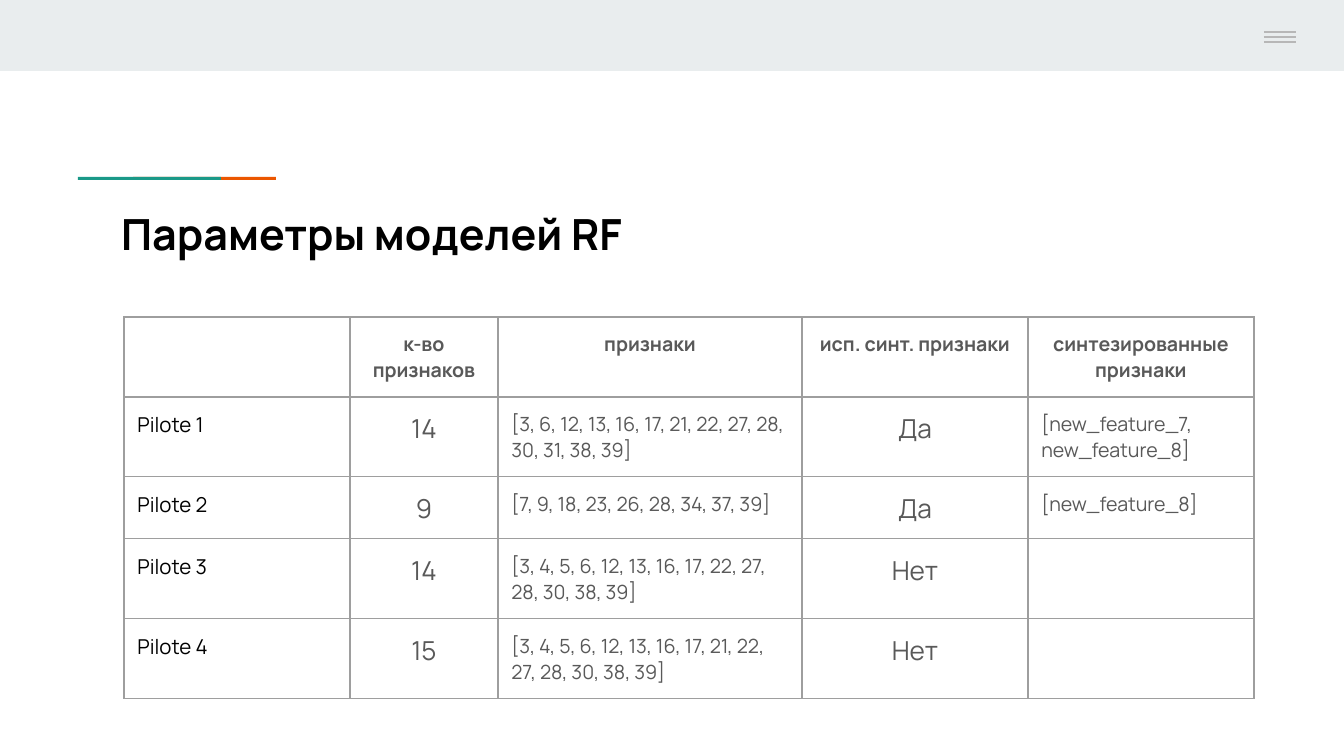
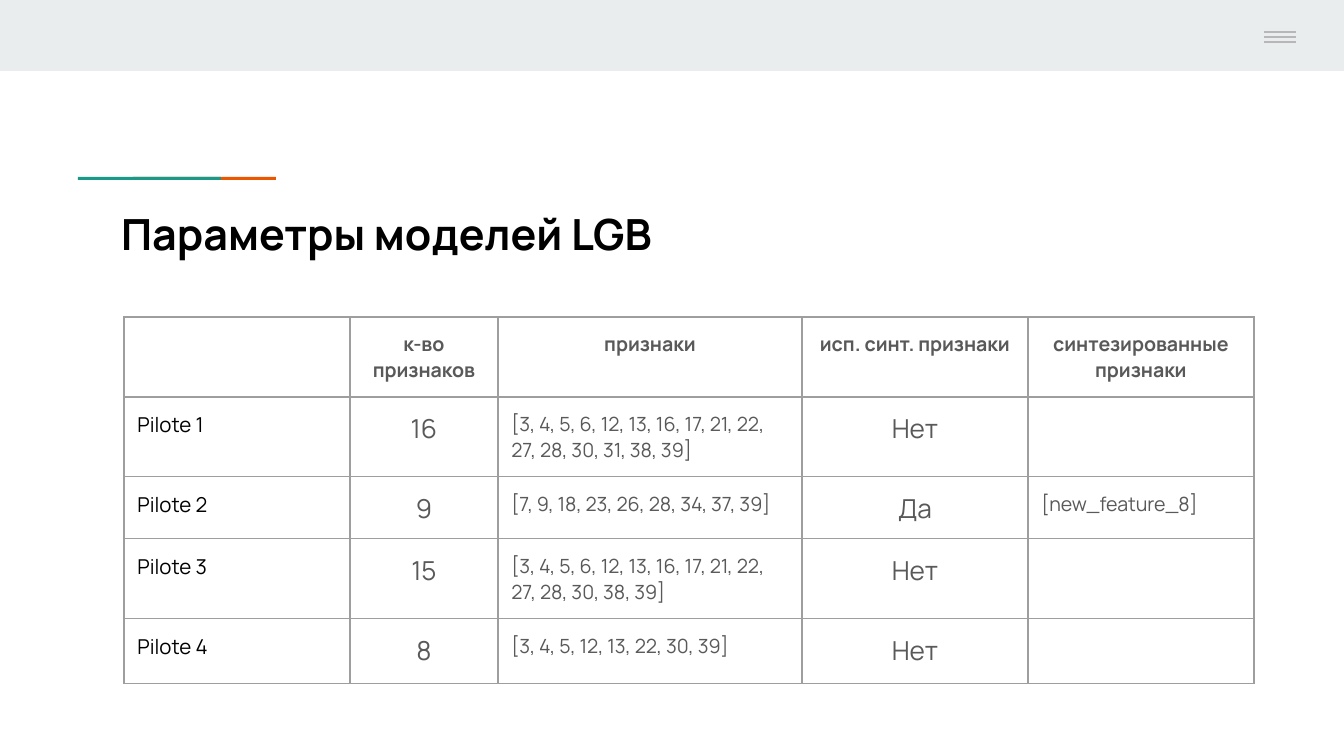
"""Build two slides that tabulate the parameters of the RF and LGB models."""
from lxml import etree
from pptx import Presentation
from pptx import util as u
from pptx.dml.color import RGBColor
from pptx.enum import shapes, text
from pptx.oxml.ns import qn

PX = 914400 / 134.4
FONT = "Manrope"
BLACK, GREY, RULE, BAND = "000000", "595959", "9E9E9E", "E9EDEE"
TEAL, ORANGE, MENU = "1A9988", "EB5600", "B7B7B7"
LEFT, CENTER = text.PP_ALIGN.LEFT, text.PP_ALIGN.CENTER

BARS = [(0, 0, 1344, 71, BAND), (133, 177, 143, 3, ORANGE), (78, 177, 143, 3, TEAL)]
COLS = [226, 148, 304, 226, 226]
HEADER = ["", "к-во признаков", "признаки", "исп. синт. признаки", "синтезированные признаки"]
STYLES = [(11, BLACK, LEFT), (14, GREY, CENTER), (10.5, GREY, LEFT),
          (14, GREY, CENTER), (10.5, GREY, LEFT)]
SLIDES = [
    ("Параметры моделей RF", [80, 80, 62, 80, 80], [
        ["Pilote 1", "14", "[3, 6, 12, 13, 16, 17, 21, 22, 27, 28, 30, 31, 38, 39]",
         "Да", "[new_feature_7, new_feature_8]"],
        ["Pilote 2", "9", "[7, 9, 18, 23, 26, 28, 34, 37, 39]", "Да", "[new_feature_8]"],
        ["Pilote 3", "14", "[3, 4, 5, 6, 12, 13, 16, 17, 22, 27, 28, 30, 38, 39]", "Нет", ""],
        ["Pilote 4", "15", "[3, 4, 5, 6, 12, 13, 16, 17, 21, 22, 27, 28, 30, 38, 39]", "Нет", ""],
    ]),
    ("Параметры моделей LGB", [80, 80, 62, 80, 65], [
        ["Pilote 1", "16", "[3, 4, 5, 6, 12, 13, 16, 17, 21, 22, 27, 28, 30, 31, 38, 39]", "Нет", ""],
        ["Pilote 2", "9", "[7, 9, 18, 23, 26, 28, 34, 37, 39]", "Да", "[new_feature_8]"],
        ["Pilote 3", "15", "[3, 4, 5, 6, 12, 13, 16, 17, 21, 22, 27, 28, 30, 38, 39]", "Нет", ""],
        ["Pilote 4", "8", "[3, 4, 5, 12, 13, 22, 30, 39]", "Нет", ""],
    ]),
]


def emu(*px):
    return [u.Emu(round(v * PX)) for v in px]


def style(p, size, color, bold=False, align=LEFT):
    p.alignment = align
    p.font.name, p.font.size, p.font.bold = FONT, u.Pt(size), bold
    p.font.color.rgb = RGBColor.from_string(color)


prs = Presentation()
prs.slide_width, prs.slide_height = emu(1344, 756)

for title, heights, rows in SLIDES:
    s = prs.slides.add_slide(prs.slide_layouts[6])

    for x, y, w, h, color in BARS:
        sp = s.shapes.add_shape(shapes.MSO_SHAPE.RECTANGLE, *emu(x, y, w, h))
        sp.shadow.inherit = False
        sp.fill.solid()
        sp.fill.fore_color.rgb = RGBColor.from_string(color)
        sp.line.fill.background()

    for y in range(32, 43, 5):
        ln = s.shapes.add_connector(shapes.MSO_CONNECTOR.STRAIGHT, *emu(1264, y, 1296, y))
        ln.line.color.rgb = RGBColor.from_string(MENU)
        ln.line.width = u.Pt(0.75)
        etree.SubElement(ln._element.spPr, qn("a:effectLst"))

    tf = s.shapes.add_textbox(*emu(108, 194, 616, 152)).text_frame
    tf.word_wrap = True
    tf.margin_left = tf.margin_right = tf.margin_top = tf.margin_bottom = u.Inches(0.1)
    tf.paragraphs[0].text = title
    style(tf.paragraphs[0], 23, BLACK, bold=True)

    tbl = s.shapes.add_table(len(heights), len(COLS),
                             *emu(124, 317, sum(COLS), sum(heights))).table
    tbl.first_row = tbl.horz_banding = False
    for col, w in zip(tbl.columns, emu(*COLS)):
        col.width = w
    for row, h in zip(tbl.rows, emu(*heights)):
        row.height = h

    for i, values in enumerate([HEADER] + rows):
        for j, value in enumerate(values):
            cell = tbl.cell(i, j)
            cell.margin_left = cell.margin_right = u.Inches(0.1)
            cell.margin_top = cell.margin_bottom = u.Inches(0.1)
            for side in ("lnL", "lnR", "lnT", "lnB"):
                ln = etree.SubElement(cell._tc.get_or_add_tcPr(), qn(f"a:{side}"), w=str(u.Pt(0.75)))
                fill = etree.SubElement(ln, qn("a:solidFill"))
                etree.SubElement(fill, qn("a:srgbClr"), val=RULE)
            cell.fill.background()
            p = cell.text_frame.paragraphs[0]
            p.text = value
            if i == 0:
                style(p, 10.5, GREY, bold=True, align=CENTER)
            else:
                size, color, align = STYLES[j]
                style(p, size, color, align=align)

prs.save("out.pptx")
